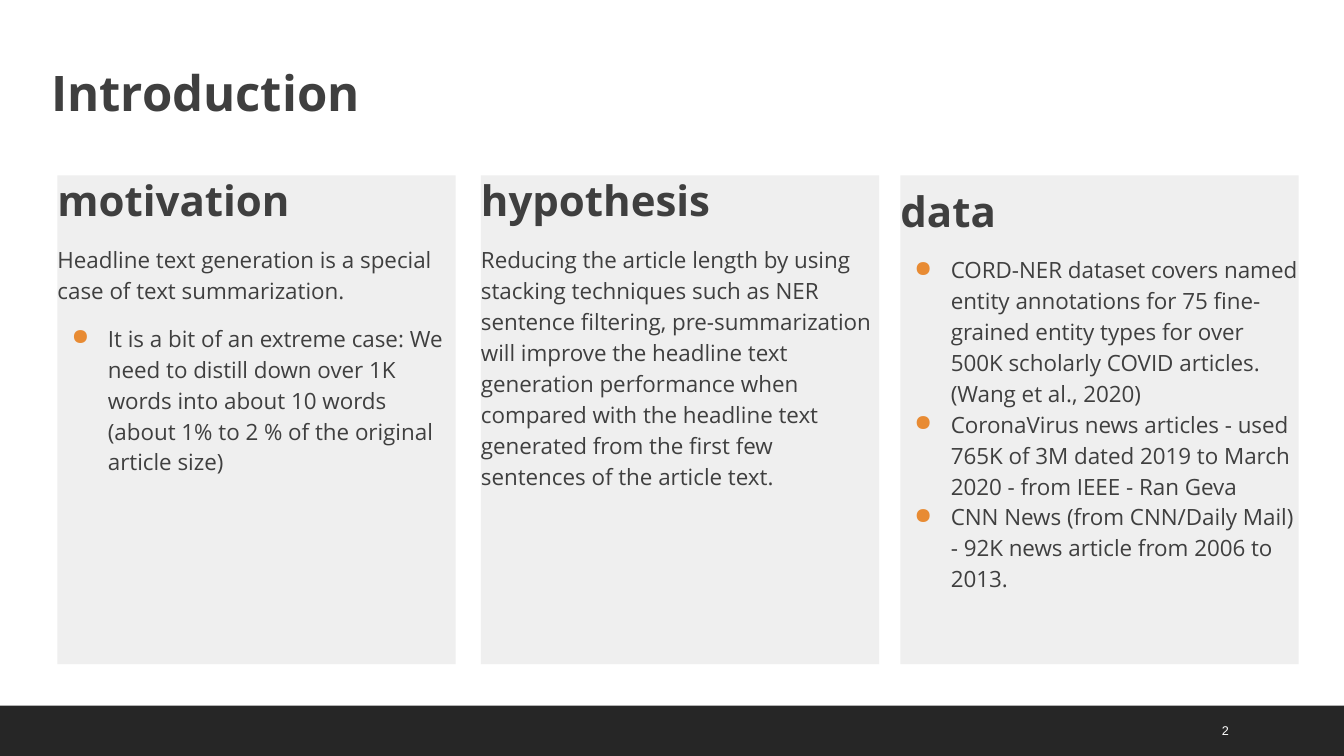
"""Build the Introduction slide with three topic cards."""
from lxml.etree import SubElement
from pptx import Presentation
from pptx.dml.color import RGBColor
from pptx.enum.shapes import MSO_SHAPE
from pptx.enum.text import MSO_ANCHOR, PP_ALIGN
from pptx.oxml.ns import qn
from pptx.util import Inches, Pt

DARK = RGBColor(0x3F, 0x3F, 0x3F)
FOOTER = RGBColor(0x26, 0x26, 0x26)
CARD = RGBColor(0xEF, 0xEF, 0xEF)
WHITE = RGBColor(0xFF, 0xFF, 0xFF)
ORANGE = RGBColor(0xE8, 0x8B, 0x33)

CARD_TOP, CARD_WIDTH, CARD_HEIGHT = 1.74, 3.95, 4.85
CARDS = [
    (0.57, "motivation", 0.9,
     "Headline text generation is a special case of text summarization.",
     ["It is a bit of an extreme case: We need to distill down over 1K words "
      "into about 10 words (about 1% to 2 % of the original article size)"]),
    (4.77, "hypothesis", 0.9,
     "Reducing the article length by using stacking techniques such as NER "
     "sentence filtering, pre-summarization will improve the headline text "
     "generation performance when compared with the headline text generated "
     "from the first few sentences of the article text.", []),
    (8.93, "data", 1.1, None,
     ["CORD-NER dataset covers named entity annotations for 75 fine-grained "
      "entity types for over 500K scholarly COVID articles. (Wang et al., 2020)",
      "CoronaVirus news articles - used 765K of 3M dated 2019 to March 2020 "
      "- from IEEE - Ran Geva",
      "CNN News (from CNN/Daily Mail) - 92K news article from 2006 to 2013."]),
]


def add_rectangle(slide, left, top, width, height, color):
    """Add a plain filled rectangle without line or shadow."""
    shape = slide.shapes.add_shape(
        MSO_SHAPE.RECTANGLE, Inches(left), Inches(top), Inches(width), Inches(height))
    shape.shadow.inherit = False
    shape.fill.solid()
    shape.fill.fore_color.rgb = color
    shape.line.fill.background()
    return shape


def add_bullet(paragraph):
    """Give a paragraph a hanging indent and an orange bullet."""
    properties = paragraph._p.get_or_add_pPr()
    properties.set("marL", str(Inches(0.5)))
    properties.set("indent", str(Inches(-0.36)))
    color = SubElement(properties, qn("a:buClr"))
    SubElement(color, qn("a:srgbClr")).set("val", str(ORANGE))
    SubElement(properties, qn("a:buChar")).set("char", "●")


def style_paragraph(paragraph, size, color=DARK, bold=False, font="Open Sans",
                    line_spacing=1.0, space_before=0):
    """Set spacing, alignment and font of a paragraph."""
    paragraph.alignment = PP_ALIGN.LEFT
    paragraph.line_spacing = line_spacing
    paragraph.space_before = Pt(space_before)
    for run in paragraph.runs:
        run.font.name = font
        run.font.size = Pt(size)
        run.font.bold = bold
        run.font.color.rgb = color


def add_text(slide, left, top, width, height, text, anchor, **style):
    """Add a text box with a single styled paragraph."""
    box = slide.shapes.add_textbox(
        Inches(left), Inches(top), Inches(width), Inches(height))
    box.text_frame.word_wrap = True
    box.text_frame.vertical_anchor = anchor
    box.text_frame.text = text
    style_paragraph(box.text_frame.paragraphs[0], **style)


def add_card(slide, left, heading, heading_spacing, intro, bullets):
    """Add a grey card with a heading, an optional intro and bullets."""
    card = add_rectangle(slide, left, CARD_TOP, CARD_WIDTH, CARD_HEIGHT, CARD)
    frame = card.text_frame
    frame.word_wrap = True
    frame.vertical_anchor = MSO_ANCHOR.TOP
    frame.margin_left = frame.margin_right = Inches(0)
    frame.text = heading
    style_paragraph(frame.paragraphs[0], 30, bold=True, line_spacing=heading_spacing)
    if intro:
        paragraph = frame.add_paragraph()
        paragraph.text = intro
        style_paragraph(paragraph, 16, line_spacing=1.15, space_before=12)
    for index, bullet in enumerate(bullets):
        paragraph = frame.add_paragraph()
        paragraph.text = bullet
        add_bullet(paragraph)
        style_paragraph(paragraph, 16, line_spacing=1.15,
                        space_before=0 if index else 12)


def main():
    """Build and save the slide."""
    presentation = Presentation()
    presentation.slide_width = Inches(13.33)
    presentation.slide_height = Inches(7.5)
    slide = presentation.slides.add_slide(presentation.slide_layouts[6])
    add_rectangle(slide, 0, 7, 13.33, 0.5, FOOTER)
    add_text(slide, 0.41, 0.44, 11.84, 0.81, "Introduction", MSO_ANCHOR.BOTTOM,
             size=35, bold=True, line_spacing=1.1)
    for card in CARDS:
        add_card(slide, *card)
    add_text(slide, 12.02, 7.05, 0.85, 0.4, "2", MSO_ANCHOR.MIDDLE,
             size=9, color=WHITE, font="Arial")
    presentation.save("out.pptx")


if __name__ == "__main__":
    main()
